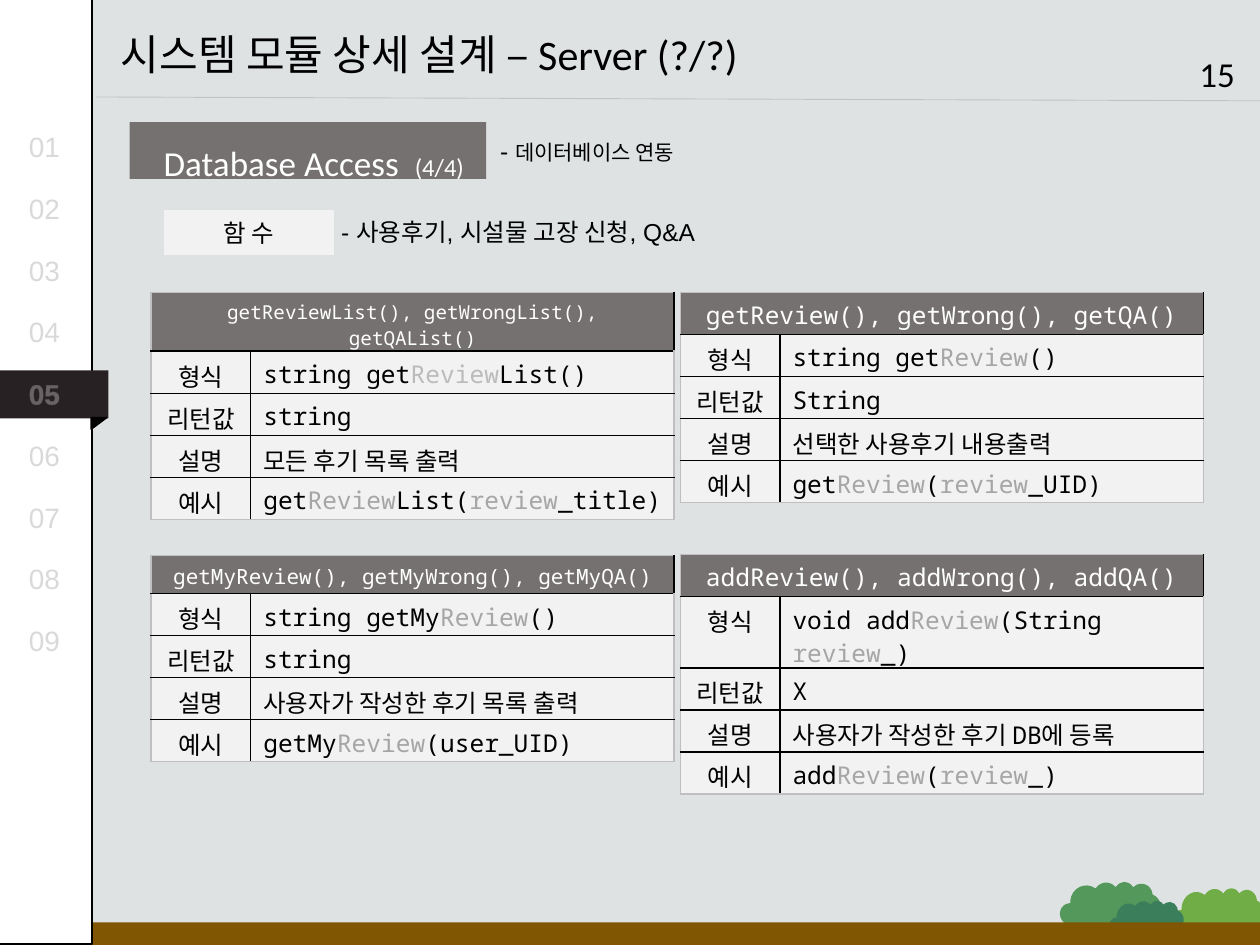
from lxml import etree
from pptx import Presentation
from pptx import util as u
from pptx.dml import color as dml
from pptx.enum import shapes, text
from pptx.oxml import ns

COLUMNS, ROWS = 100, 75
UNIT = u.Inches(10) // COLUMNS
BLACK, WHITE, GRAY, PALE, MUTED = "000000", "FFFFFF", "767171", "F2F2F2", "A6A6A6"
MONO = "Noto Sans Mono"
LABELS = ["형식", "리턴값", "설명", "예시"]
TABLES = [
    (12, 23.2, 11, "BBBBBB", "getReviewList(), getWrongList(), getQAList()",
     ["string get|Review|List()", "string", "모든 후기 목록 출력", "get|Review|List(|review|_title)"]),
    (54, 23.2, 14, MUTED, "getReview(), getWrong(), getQA()",
     ["string get|Review|()", "String", "선택한 사용후기 내용출력", "get|Review|(|review|_UID)"]),
    (12, 44.1, 12, MUTED, "getMyReview(), getMyWrong(), getMyQA()",
     ["string getMy|Review|()", "string", "사용자가 작성한 후기 목록 출력", "getMy|Review|(user_UID)"]),
    (54, 44, 14, MUTED, "addReview(), addWrong(), addQA()",
     ["void add|Review|(String |review|_)", "X", "사용자가 작성한 후기 DB에 등록",
      "add|Review|(|review|_)"]),
]


def grid(*lengths):
    """Turn grid units into slide lengths."""
    return [round(length * UNIT) for length in lengths]


def rgb(value):
    """Return the colour for a hex string."""
    return dml.RGBColor.from_string(value)


def add_line_fill(parent, tag, color, width, alpha=100):
    """Insert a solid line element at the front of its parent."""
    line = etree.Element(ns.qn(tag), w=str(u.Pt(width)))
    fill = etree.SubElement(line, ns.qn("a:solidFill"))
    tint = etree.SubElement(fill, ns.qn("a:srgbClr"), val=color)
    if alpha < 100:
        etree.SubElement(tint, ns.qn("a:alpha"), val=str(alpha * 1000))
    parent.insert(0, line)


def add_span(para, words, size=14, font="Arial", color=BLACK, bold=False, outline=None):
    """Append one formatted run to a paragraph."""
    span = para.add_run()
    span.text = words
    span.font.size, span.font.name, span.font.bold = u.Pt(size), font, bold
    span.font.color.rgb = rgb(color)
    if outline:
        add_line_fill(span.font._element, "a:ln", outline, 0.75, 30)


def add_text(page, place, words, **style):
    """Add a text box and return its paragraph."""
    box = page.shapes.add_textbox(*grid(*place))
    box.text_frame.word_wrap = True
    para = box.text_frame.paragraphs[0]
    add_span(para, words, **style)
    return para


def add_block(page, kind, place, fill, line=None, turn=0):
    """Add a filled preset shape."""
    shape = page.shapes.add_shape(kind, *grid(*place))
    shape.shadow.inherit = False
    shape.rotation = turn
    shape.fill.solid()
    shape.fill.fore_color.rgb = rgb(fill)
    if line:
        shape.line.color.rgb = rgb(line)
        shape.line.width = u.Pt(1)
    else:
        shape.line.fill.background()
    return shape


def add_rule(page, *ends):
    """Add the thin translucent line under the title."""
    rule = page.shapes.add_connector(shapes.MSO_CONNECTOR.STRAIGHT, *grid(*ends))
    properties = rule._element.spPr
    rule.line.color.rgb = rgb(MUTED)
    rule.line.width = u.Pt(0.5)
    tint = next(properties.iter(ns.qn("a:srgbClr")))
    etree.SubElement(tint, ns.qn("a:alpha"), val="50000")
    etree.SubElement(properties, ns.qn("a:effectLst"))


def fill_cell(cell, words, fill, accent=MUTED, centered=False, color=BLACK, size=14):
    """Fill a cell, giving every second part between bars the accent colour."""
    cell.fill.solid()
    cell.fill.fore_color.rgb = rgb(fill)
    para = cell.text_frame.paragraphs[0]
    if centered:
        para.alignment = text.PP_ALIGN.CENTER
    for index, part in enumerate(words.split("|")):
        add_span(para, part, size, MONO, accent if index % 2 else color)


def add_borders(table):
    """Draw black inner borders and a light outer frame."""
    last_row, last_column = len(table.rows) - 1, len(table.columns) - 1
    for row in range(last_row + 1):
        for column in range(last_column + 1):
            properties = table.cell(row, column)._tc.get_or_add_tcPr()
            outer = {"B": row == last_row, "T": row == 0,
                     "R": column == last_column, "L": column == 0}
            for side, is_outer in outer.items():
                add_line_fill(properties, f"a:ln{side}", "BFBFBF" if is_outer else BLACK, 1)


def add_function_table(page, left, top, head_size, accent, heading, details):
    """Add the table that describes one group of functions."""
    count = len(LABELS) + 1
    frame = page.shapes.add_table(count, 2, *grid(left, top, 41.5, 3 * count))
    table = frame.table
    table.columns[0].width, table.columns[1].width = grid(7.9, 33.6)
    table.cell(0, 0).merge(table.cell(0, 1))
    fill_cell(table.cell(0, 0), heading, GRAY, centered=True, color=WHITE, size=head_size)
    for row, (label, detail) in enumerate(zip(LABELS, details), 1):
        fill_cell(table.cell(row, 0), label, PALE, centered=True)
        fill_cell(table.cell(row, 1), detail, PALE, accent if row == 1 else MUTED)
    add_borders(table)


def add_title(page, words):
    """Place and format the title."""
    title = page.shapes.title
    title.left, title.top, title.width, title.height = grid(8.6, 1.8, 52.8, 5)
    frame = title.text_frame
    frame.auto_size, frame.word_wrap = text.MSO_AUTO_SIZE.NONE, False
    frame.vertical_anchor = text.MSO_ANCHOR.TOP
    frame.paragraphs[0].alignment = text.PP_ALIGN.LEFT
    add_span(frame.paragraphs[0], words, 24, "Calibri")


def add_scenery(page):
    """Add the bushes and the ground."""
    for *place, fill in [(93, 70.4, 7.4, 6.2, "70AD47"), (84.1, 69.9, 8.1, 6.2, "54985B"),
                         (88, 71.4, 6, 4.9, "3B7E5B")]:
        add_block(page, shapes.MSO_SHAPE.CLOUD, place, fill, turn=5.4)
    add_block(page, shapes.MSO_SHAPE.RECTANGLE, (0, 73.2, COLUMNS, 1.8), "805602")


def add_sidebar(page, current):
    """Add the chapter numbers with a ribbon behind the current one."""
    add_block(page, shapes.MSO_SHAPE.RECTANGLE, (-0.4, -0.1, 7.7, ROWS), WHITE, BLACK)
    add_block(page, shapes.MSO_SHAPE.RECTANGLE, (-0.5, 29.4, 9.1, 3.8), "272123")
    add_block(page, shapes.MSO_SHAPE.RIGHT_TRIANGLE, (7.4, 33, 0.9, 1.2), BLACK, BLACK, 90)
    for number in range(1, 10):
        active = number == current
        add_text(page, (1.3, 9.8 + 4.9 * (number - 1), 4.9, 3.7), f"{number:02}", size=16,
                 color=WHITE if active else "D9D9D9", bold=active,
                 outline="D9D9D9" if active else BLACK)


def add_headings(page):
    """Add the section heading and the function label."""
    label = add_block(page, shapes.MSO_SHAPE.FLOWCHART_PROCESS, (13, 16.7, 13.5, 3.5), PALE)
    label.text_frame.vertical_anchor = text.MSO_ANCHOR.MIDDLE
    para = label.text_frame.paragraphs[0]
    para.alignment = text.PP_ALIGN.CENTER
    add_span(para, "함 수")
    add_block(page, shapes.MSO_SHAPE.RECTANGLE, (10.3, 9.7, 28.3, 4.5), GRAY)
    section = add_text(page, (12, 7.4, 28.2, 7.7), "Database Access  ", size=20,
                       font="Calibri", color=WHITE)
    section.line_spacing = 2.0
    add_span(section, "(4/4)", font="Calibri", color=WHITE)
    summary = add_text(page, (38.7, 10.3, 41.5, 3.4), "- ")
    add_span(summary, "데이터베이스 연동", 12)
    add_text(page, (26.1, 16.7, 41.5, 3.4), "- 사용후기, 시설물 고장 신청, Q&A")


def main():
    """Build and save the slide."""
    deck = Presentation()
    deck.slide_width, deck.slide_height = grid(COLUMNS, ROWS)
    page = deck.slides.add_slide(deck.slide_layouts[5])
    page.background.fill.solid()
    page.background.fill.fore_color.rgb = rgb("DEE2E2")
    add_title(page, "시스템 모듈 상세 설계 – Server (?/?)")
    add_scenery(page)
    add_rule(page, COLUMNS, 8, 7.6, 7.7)
    add_text(page, (94.2, 3.7, 5.4, 4.4), "15", size=20, font="Calibri")
    add_sidebar(page, current=5)
    add_headings(page)
    for entry in TABLES:
        add_function_table(page, *entry)
    deck.save("out.pptx")


if __name__ == "__main__":
    main()
